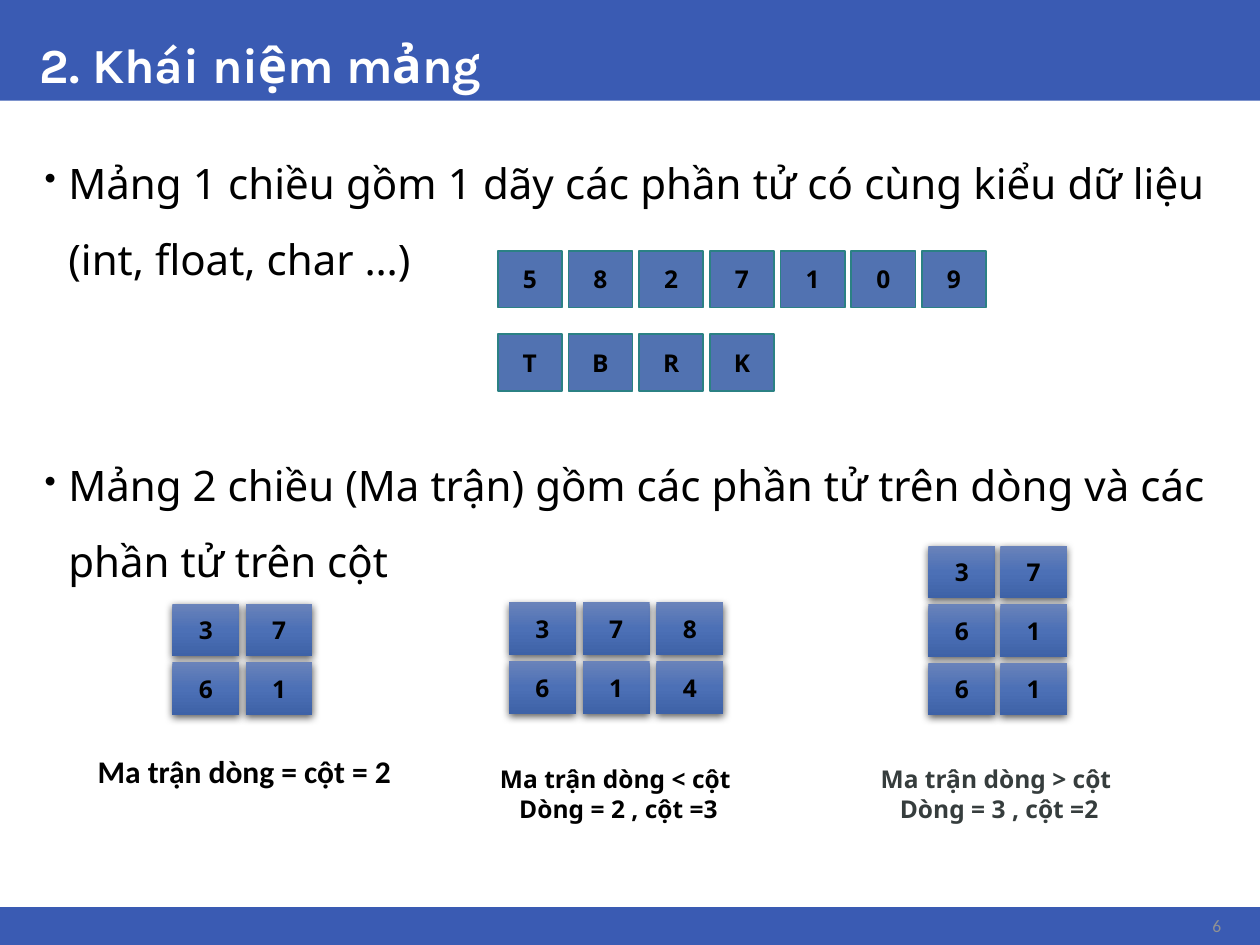
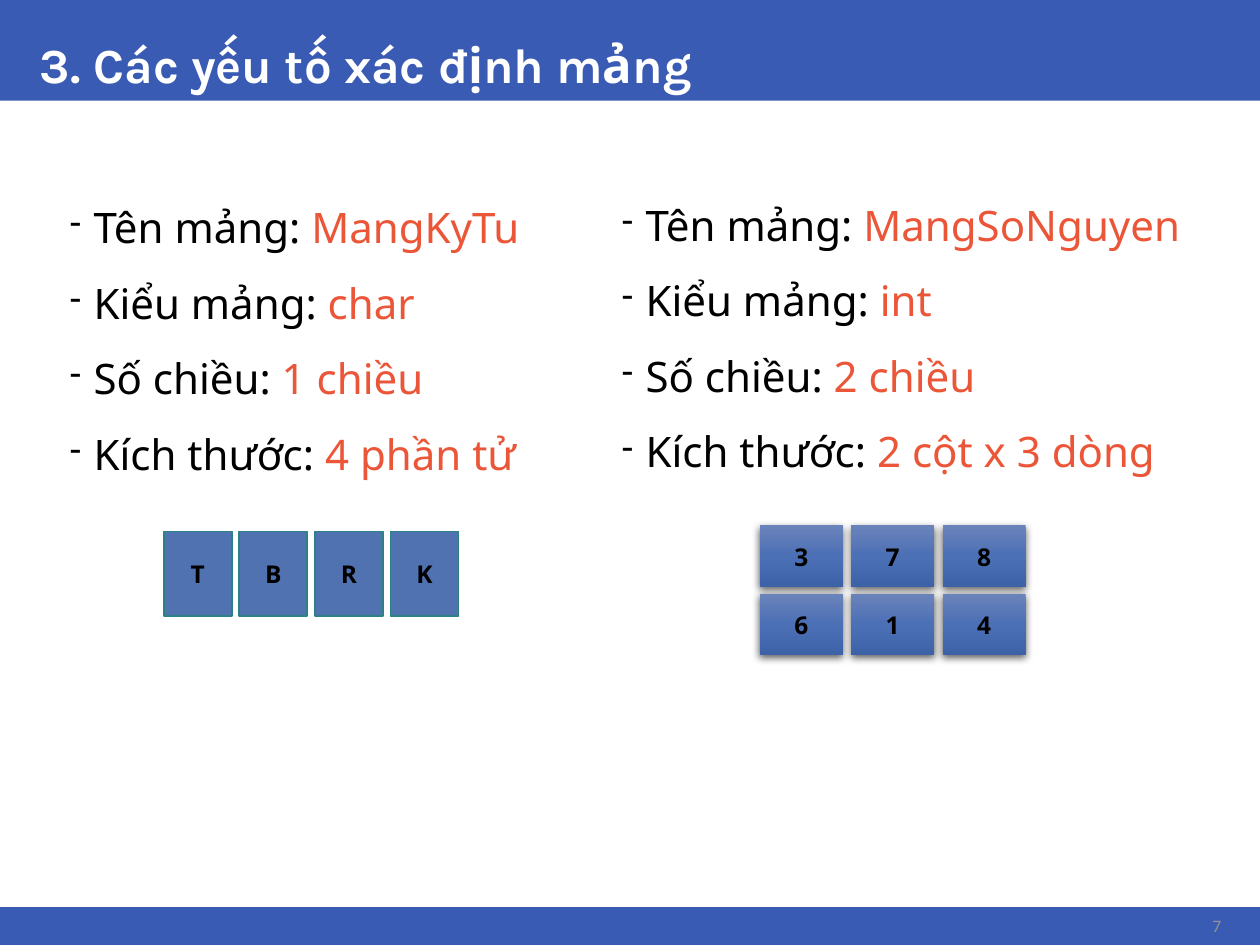
"""Builds two slides about one- and two-dimensional arrays."""
import copy

import pptx
import pptx.dml.color
import pptx.enum.shapes
import pptx.enum.text
import pptx.oxml
import pptx.oxml.ns
import pptx.util

Pt = pptx.util.Pt
ALIGN = pptx.enum.text.PP_ALIGN
ANCHOR = pptx.enum.text.MSO_ANCHOR
WIDTH, HEIGHT = 720, 540


def color(value):
    """Turn a hex string into a colour."""
    return pptx.dml.color.RGBColor.from_string(value)


class Deck:
    """Holds the style and the current slide."""

    BLUE, WHITE, BLACK, ACCENT = "3A5BB3", "FFFFFF", "000000", "EB5638"
    PAGE_GRAY, DARK_GRAY = "919292", "363D3D"
    CELL_FILL, CELL_LINE = "5172B1", "2B8184"
    GRADIENT = ((0, "6A83BA"), (0.5, "4C70B6"), (1, "3E62A7"))
    FONT, TITLE_FONT, SMALL_FONT = "Noto Sans", "Karla", "Calibri"
    BULLET_LINE = 43.2

    def __init__(self):
        """Open an empty presentation."""
        self.presentation = pptx.Presentation()
        self.presentation.slide_width = Pt(WIDTH)
        self.presentation.slide_height = Pt(HEIGHT)
        self.slide = None

    def add_slide(self, title, number):
        """Start a slide with its bands, title and page number."""
        self.slide = self.presentation.slides.add_slide(self.presentation.slide_layouts[6])
        self.rectangle(0, 0, WIDTH, 57.6, self.BLUE)
        self.rectangle(0, 518.4, WIDTH, 21.6, self.BLUE)
        self.text(15.8, 0, 689, 57.6, [title], 28, self.WHITE, self.TITLE_FONT,
                  True, ALIGN.LEFT, ANCHOR.BOTTOM, 0.9)
        self.text(666.7, 519.8, 38.2, 18.7, [number], 10, self.PAGE_GRAY,
                  self.SMALL_FONT, False, ALIGN.RIGHT)

    def rectangle(self, left, top, width, height, fill):
        """Add a plain rectangle without line or shadow."""
        shape = self.slide.shapes.add_shape(
            pptx.enum.shapes.MSO_SHAPE.RECTANGLE, Pt(left), Pt(top), Pt(width), Pt(height))
        shape.shadow.inherit = False
        shape.fill.solid()
        shape.fill.fore_color.rgb = color(fill)
        shape.line.fill.background()
        return shape

    def text_box(self, left, top, width, height, anchor):
        """Add a wrapping text box and return its frame."""
        shape = self.slide.shapes.add_textbox(Pt(left), Pt(top), Pt(width), Pt(height))
        shape.text_frame.word_wrap = True
        shape.text_frame.vertical_anchor = anchor
        return shape.text_frame

    def format_run(self, run, size, ink, font=FONT, bold=False):
        """Set the font of one run."""
        run.font.size, run.font.name, run.font.bold = Pt(size), font, bold
        run.font.color.rgb = color(ink)

    def text(self, left, top, width, height, lines, size, ink=BLACK, font=FONT,
             bold=True, align=ALIGN.CENTER, anchor=ANCHOR.MIDDLE, spacing=None):
        """Add lines of text that share one style."""
        frame = self.text_box(left, top, width, height, anchor)
        frame.text = "\n".join(lines)
        for paragraph in frame.paragraphs:
            paragraph.alignment, paragraph.line_spacing = align, spacing
            self.format_run(paragraph.runs[0], size, ink, font, bold)

    def bullets(self, left, top, width, height, items, mark, align=ALIGN.LEFT, gap=0):
        """Add bulleted paragraphs, each a list of text and colour pairs."""
        frame = self.text_box(left, top, width, height, ANCHOR.TOP)
        for index, parts in enumerate(items):
            paragraph = frame.add_paragraph() if index else frame.paragraphs[0]
            paragraph.alignment = align
            paragraph.line_spacing = Pt(self.BULLET_LINE)
            paragraph.space_before = Pt(gap if index else 0)
            for words, ink in parts:
                run = paragraph.add_run()
                run.text = words
                self.format_run(run, 24, ink)
            properties = paragraph._p.get_or_add_pPr()
            properties.set("marL", str(Pt(16.2)))
            properties.set("indent", str(Pt(-13.5)))
            for tag, value in (("buSzPct", "80000"), ("buChar", mark)):
                name = "char" if tag == "buChar" else "val"
                child = pptx.oxml.parse_xml(
                    f'<a:{tag} {pptx.oxml.ns.nsdecls("a")} {name}="{value}"/>')
                properties.append(child)

    def outline(self, shape):
        """Give an array cell its thin line."""
        shape.line.color.rgb = color(self.CELL_LINE)
        shape.line.width = Pt(1)

    def raise_cell(self, shape):
        """Give a matrix cell its gradient and soft shadow."""
        shape.fill.gradient()
        shape.fill.gradient_angle = 270
        qn = pptx.oxml.ns.qn
        properties = shape._element.spPr
        stop_list = properties.find(qn("a:gradFill")).find(qn("a:gsLst"))
        stop_list.insert(1, copy.deepcopy(stop_list[0]))
        for stop, (position, value) in zip(shape.fill.gradient_stops, self.GRADIENT):
            stop.position = position
            stop.color.rgb = color(value)
        properties.find(qn("a:effectLst")).append(pptx.oxml.parse_xml(
            f'<a:outerShdw {pptx.oxml.ns.nsdecls("a")} blurRad="{Pt(4.5)}" dist="{Pt(1.5)}" '
            'dir="5400000" algn="ctr" rotWithShape="0">'
            '<a:srgbClr val="000000"><a:alpha val="63000"/></a:srgbClr></a:outerShdw>'))

    def cells(self, left, top, size, pitch, rows, finish):
        """Add a grid of cells, one character of each row per cell."""
        for row, values in enumerate(rows):
            for column, value in enumerate(values):
                shape = self.rectangle(left + column * pitch[0], top + row * pitch[1],
                                       *size, self.CELL_FILL)
                finish(shape)
                frame = shape.text_frame
                frame.text = value
                frame.vertical_anchor = ANCHOR.MIDDLE
                frame.paragraphs[0].alignment = ALIGN.CENTER
                self.format_run(frame.paragraphs[0].runs[0], 14, self.BLACK, bold=True)


def add_concept_slide(deck):
    """Show arrays and matrices of several shapes."""
    deck.add_slide("2. Khái niệm mảng", "6")
    sentences = (
        "Mảng 1 chiều gồm 1 dãy các phần tử có cùng kiểu dữ liệu (int, float, char …)",
        "Mảng 2 chiều (Ma trận) gồm các phần tử trên dòng và các phần tử trên cột")
    deck.bullets(15.8, 72, 679.7, 435.6, [[(words, deck.BLACK)] for words in sentences],
                 "•", ALIGN.JUSTIFY, 2 * deck.BULLET_LINE)
    deck.cells(284.4, 143.3, (36.7, 32.4), (40.4, 47.7), ("5827109", "TBRK"), deck.outline)
    for left, top, pitch, rows in (
            (98.6, 344.9, 41.8, ("37", "61")),
            (290.9, 344.2, 42.1, ("378", "614")),
            (530.6, 311.8, 41, ("37", "61", "61"))):
        deck.cells(left, top, (38.2, 30.2), (pitch, 33.4), rows, deck.raise_cell)
    deck.text(46.1, 423.4, 187.2, 34.6, ["Ma trận dòng = cột = 2"], 18, font=deck.SMALL_FONT)
    for left, ink, lines in (
            (259.9, deck.BLACK, ["Ma trận dòng < cột ", "Dòng = 2 , cột =3"]),
            (477.4, deck.DARK_GRAY, ["Ma trận dòng > cột ", "Dòng = 3 , cột =2"])):
        deck.text(left, 423, 187.2, 60.8, lines, 14, ink, spacing=Pt(17))


def add_factors_slide(deck):
    """Describe the factors that define two arrays."""
    deck.add_slide("3. Các yếu tố xác định mảng", "7")
    labels = ("Tên mảng: ", "Kiểu mảng: ", "Số chiều: ", "Kích thước: ")
    for left, top, width, values in (
            (30.2, 97.2, 304.6, ("MangKyTu", "char", "1 chiều", "4 phần tử")),
            (345.6, 95.8, 354.2, ("MangSoNguyen", "int", "2 chiều", "2 cột x 3 dòng"))):
        items = [[(label, deck.BLACK), (value, deck.ACCENT)]
                 for label, value in zip(labels, values)]
        deck.bullets(left, top, width, 409, items, "-")
    deck.cells(93.6, 303.8, (38.9, 48.2), (43.2, 0), ("TBRK",), deck.outline)
    deck.cells(434.2, 300.2, (47.5, 35.3), (52.2, 39), ("378", "614"), deck.raise_cell)


def main():
    """Build and save the slides."""
    deck = Deck()
    add_concept_slide(deck)
    add_factors_slide(deck)
    deck.presentation.save("out.pptx")


if __name__ == "__main__":
    main()
